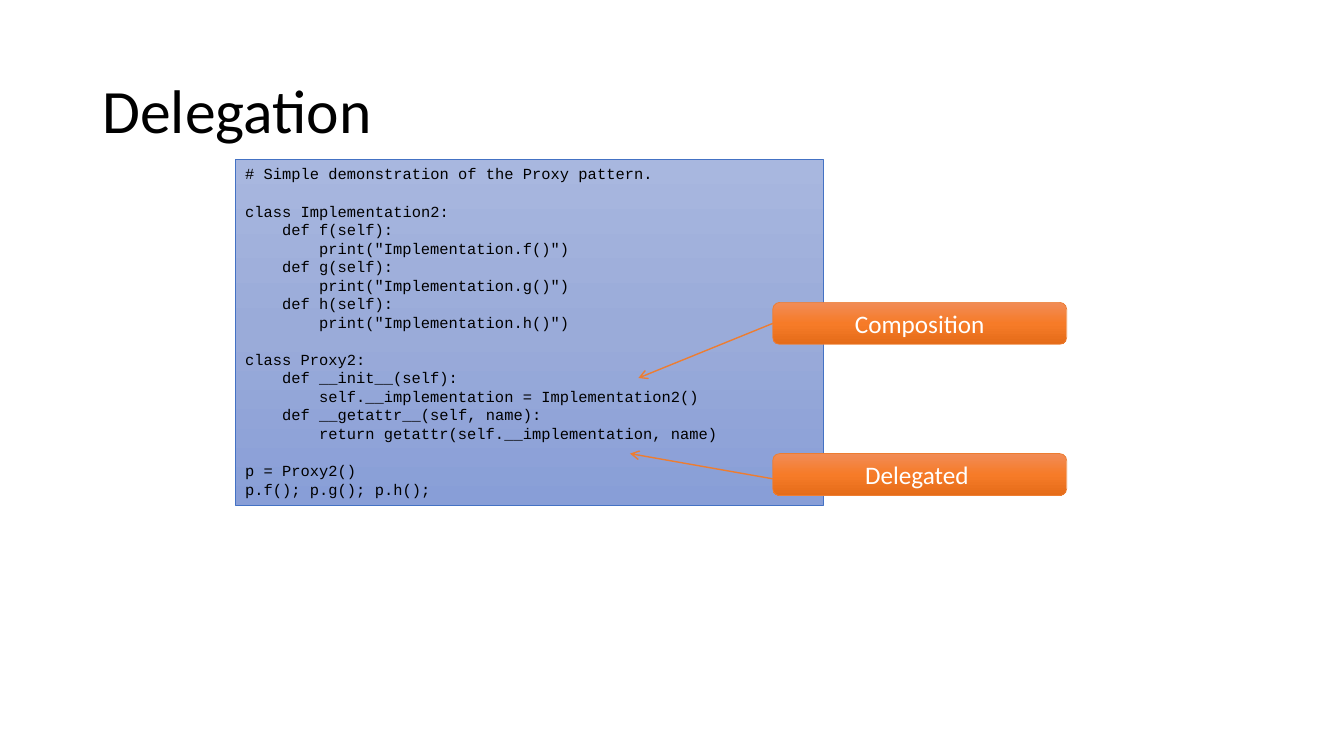
import pptx
import pptx.util
import pptx.dml.color
import pptx.enum.shapes
import pptx.enum.text
import pptx.oxml
import pptx.oxml.ns

Pt = pptx.util.Pt
SHAPE = pptx.enum.shapes.MSO_SHAPE
ALIGN = pptx.enum.text.PP_ALIGN
ANCHOR = pptx.enum.text.MSO_ANCHOR

COLORS = {
    "text": "000000",
    "label_text": "FFFFFF",
    "code_line": "4472C4",
    "accent": "ED7D31",
}
CODE_GRADIENT = ("A8B7DF", "9AABD9", "889ED7")
LABEL_GRADIENT = ("F18C57", "F67B28", "E56C19")

CODE_SIZE = 11
CODE_LINE_HEIGHT = 13.25
CHARACTER_WIDTH = CODE_SIZE * 0.6
PROXY_CODE = """\
# Simple demonstration of the Proxy pattern.

class Implementation2:
    def f(self):
        print("Implementation.f()")
    def g(self):
        print("Implementation.g()")
    def h(self):
        print("Implementation.h()")

class Proxy2:
    def __init__(self):
        self.__implementation = Implementation2()
    def __getattr__(self, name):
        return getattr(self.__implementation, name)

p = Proxy2()
p.f(); p.g(); p.h();"""


def rgb(name):
    return pptx.dml.color.RGBColor.from_string(COLORS[name])


def set_font(paragraph, typeface, size, color):
    paragraph.font.name = typeface
    paragraph.font.size = Pt(size)
    paragraph.font.color.rgb = rgb(color)


def fill_gradient(shape, stops):
    """Fill from top to bottom through evenly spaced colour stops."""
    shape.fill.gradient()
    gradient = shape.fill._xPr.find(pptx.oxml.ns.qn("a:gradFill"))
    step = 100000 // (len(stops) - 1)
    stop_xml = "".join(
        f'<a:gs pos="{i * step}"><a:srgbClr val="{color}"/></a:gs>'
        for i, color in enumerate(stops)
    )
    namespace = pptx.oxml.ns.nsdecls("a")
    for child in list(gradient):
        gradient.remove(child)
    gradient.append(pptx.oxml.parse_xml(f"<a:gsLst {namespace}>{stop_xml}</a:gsLst>"))
    gradient.append(pptx.oxml.parse_xml(f'<a:lin {namespace} ang="5400000" scaled="0"/>'))


def add_box(slide, kind, left, top, width, height, gradient, line):
    box = slide.shapes.add_shape(kind, Pt(left), Pt(top), Pt(width), Pt(height))
    box.shadow.inherit = False
    fill_gradient(box, gradient)
    box.line.color.rgb = rgb(line)
    box.line.width = Pt(0.5)
    box.text_frame.word_wrap = True
    return box


def set_title(slide, text):
    title = slide.shapes.title
    title.left, title.top, title.width, title.height = Pt(66), Pt(29), Pt(828), Pt(104)
    title.text_frame.text = text
    title.text_frame.vertical_anchor = ANCHOR.MIDDLE
    paragraph = title.text_frame.paragraphs[0]
    paragraph.alignment = ALIGN.LEFT
    paragraph.line_spacing = 0.9
    set_font(paragraph, "Calibri", 44, "text")


def add_code(slide, code):
    """Show code, with its indents and empty lines as paragraph formatting."""
    box = add_box(slide, SHAPE.RECTANGLE, 168, 114, 420, 247, CODE_GRADIENT, "code_line")
    frame = box.text_frame
    frame.vertical_anchor = ANCHOR.TOP
    blocks = [block.splitlines() for block in code.split("\n\n")]
    frame.text = "\n".join(line.strip() for block in blocks for line in block)
    lines = [(line, i == 0) for block in blocks for i, line in enumerate(block)]
    for number, (paragraph, (line, starts_block)) in enumerate(zip(frame.paragraphs, lines)):
        indent = len(line) - len(line.lstrip())
        paragraph.alignment = ALIGN.LEFT
        paragraph.line_spacing = Pt(CODE_LINE_HEIGHT)
        if starts_block and number:
            paragraph.space_before = Pt(CODE_LINE_HEIGHT)
        set_font(paragraph, "Courier New", CODE_SIZE, "text")
        paragraph._p.get_or_add_pPr().set("marL", str(int(Pt(indent * CHARACTER_WIDTH))))


def add_label(slide, text, top):
    label = add_box(slide, SHAPE.ROUNDED_RECTANGLE, 552, top, 210, 30, LABEL_GRADIENT, "accent")
    label.text_frame.text = text
    label.text_frame.vertical_anchor = ANCHOR.MIDDLE
    paragraph = label.text_frame.paragraphs[0]
    paragraph.alignment = ALIGN.CENTER
    set_font(paragraph, "Calibri", 18, "label_text")
    return label


def add_arrow(slide, start, tip):
    arrow = slide.shapes.add_connector(
        pptx.enum.shapes.MSO_CONNECTOR.STRAIGHT, *map(Pt, start + tip)
    )
    arrow.line.color.rgb = rgb("accent")
    arrow.line.width = Pt(1)
    namespace = pptx.oxml.ns.nsdecls("a")
    arrow.line._get_or_add_ln().append(
        pptx.oxml.parse_xml(f'<a:tailEnd {namespace} type="arrow"/>')
    )
    arrow._element.spPr.append(pptx.oxml.parse_xml(f"<a:effectLst {namespace}/>"))
    return arrow


def main():
    presentation = pptx.Presentation()
    presentation.slide_width, presentation.slide_height = Pt(960), Pt(540)
    slide = presentation.slides.add_slide(presentation.slide_layouts.get_by_name("Title Only"))

    set_title(slide, "Delegation")
    add_code(slide, PROXY_CODE)
    composition = add_label(slide, "Composition", 216)
    composition_arrow = add_arrow(slide, (552, 231), (456, 270))
    composition_arrow.begin_connect(composition, 1)
    add_label(slide, "Delegated ", 324)
    add_arrow(slide, (552, 342), (450, 324))

    presentation.save("out.pptx")


if __name__ == "__main__":
    main()
